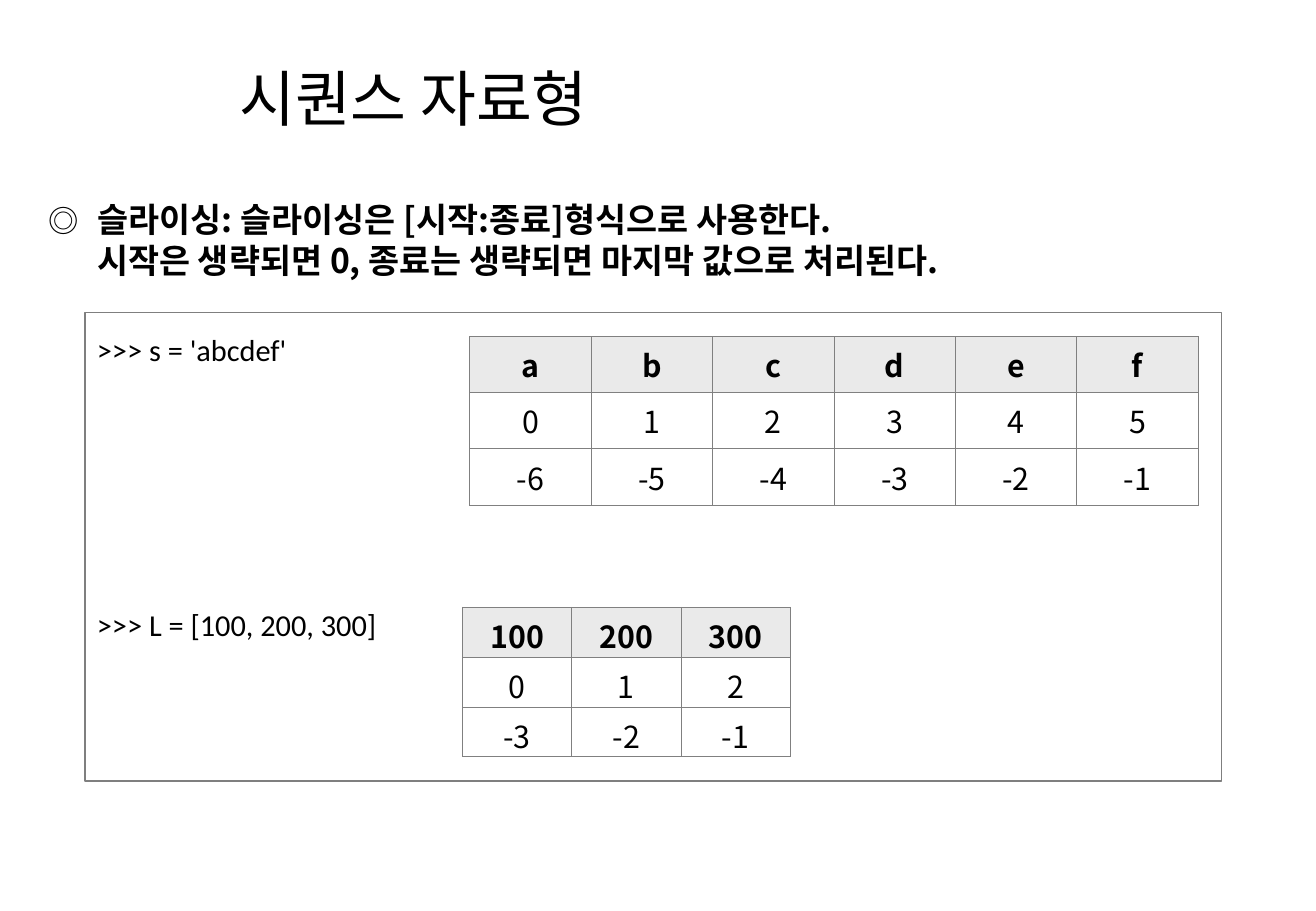
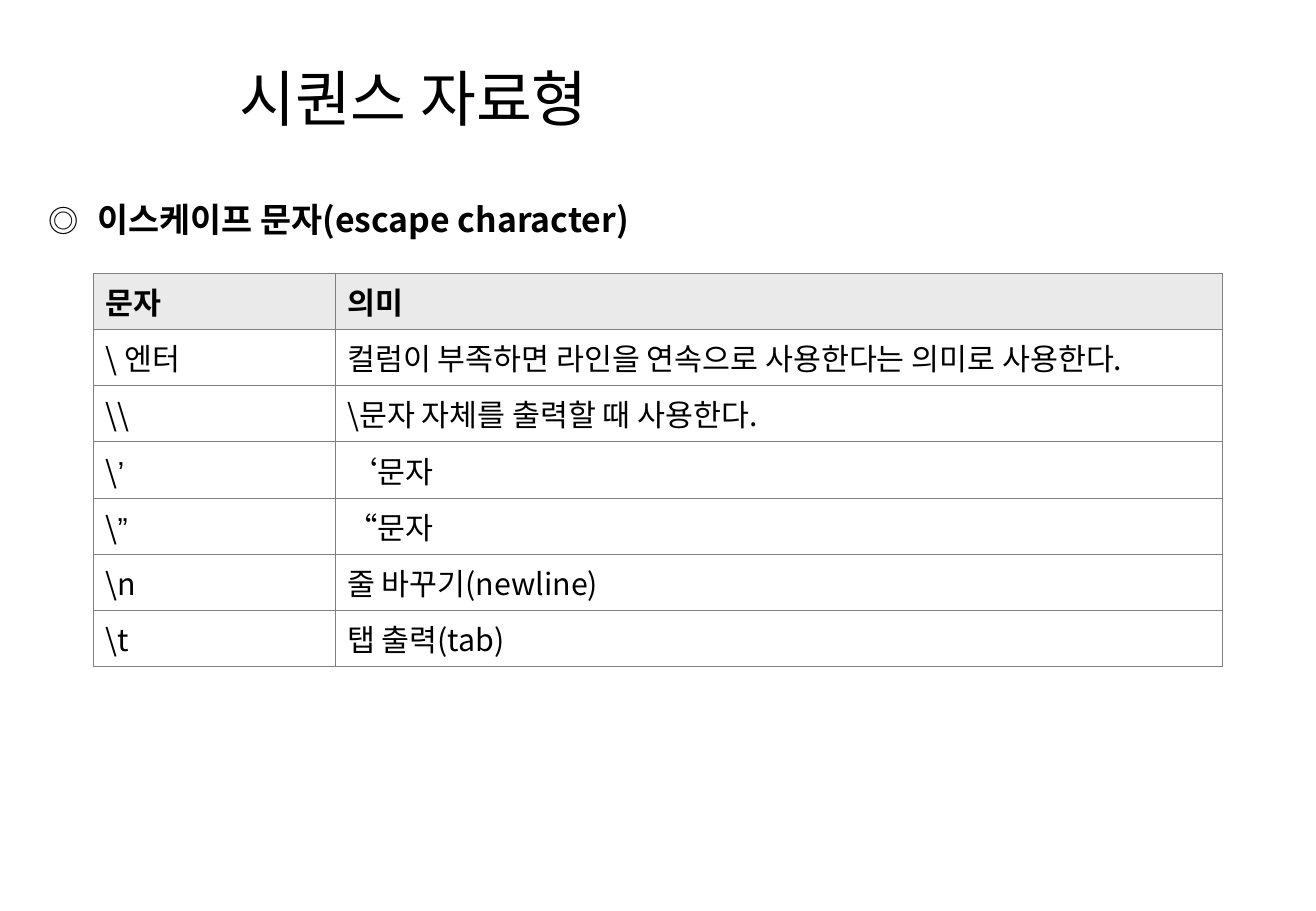
from itertools import groupby

from lxml import etree
from pptx import Presentation
from pptx.dml.color import RGBColor
from pptx.enum import shapes, text
from pptx.oxml.ns import qn
from pptx.util import Inches, Pt

COLORS = {"text": "000000", "header": "EAEAEA", "border": "808080", "frame": "7F7F7F"}
FONT = "Noto Sans CJK KR"
CODE_FONT = "Calibri"
QUOTE_FONT = "Arial"
QUOTES = "‘’“”"
TITLE = "시퀀스 자료형"


def set_font(paragraph, size, bold=False, name=FONT):
    """Format a whole paragraph, for Latin and East Asian text alike."""
    font = paragraph.font
    font.size = Pt(size)
    font.bold = bold
    font.name = name
    font.color.rgb = RGBColor.from_string(COLORS["text"])
    properties = paragraph._p.pPr.find(qn("a:defRPr"))
    etree.SubElement(properties, qn("a:ea"), typeface=FONT)


def add_grid(slide, left, top, widths, row_height, rows, alignment, bottom_margin=0.05):
    """Add a thin-ruled table with a shaded bold header row."""
    table = slide.shapes.add_table(
        len(rows), len(widths), Inches(left), Inches(top),
        Inches(sum(widths)), Inches(row_height * len(rows))).table
    table.first_row = table.horz_banding = False
    for column, width in zip(table.columns, widths):
        column.width = Inches(width)
    for row_index, values in enumerate(rows):
        table.rows[row_index].height = Inches(row_height)
        for column_index, value in enumerate(values):
            cell = table.cell(row_index, column_index)
            cell.margin_bottom = Inches(bottom_margin)
            cell_properties = cell._tc.get_or_add_tcPr()
            for side in ("lnL", "lnR", "lnT", "lnB"):
                border = etree.SubElement(cell_properties, qn(f"a:{side}"), w=str(Pt(0.45)))
                fill = etree.SubElement(border, qn("a:solidFill"))
                etree.SubElement(fill, qn("a:srgbClr"), val=COLORS["border"])
            if row_index == 0:
                cell.fill.solid()
                cell.fill.fore_color.rgb = RGBColor.from_string(COLORS["header"])
            else:
                cell.fill.background()
            paragraph = cell.text_frame.paragraphs[0]
            paragraph.alignment = alignment
            set_font(paragraph, 18, bold=row_index == 0)
            for is_quote, letters in groupby(value, lambda letter: letter in QUOTES):
                run = paragraph.add_run()
                run.text = "".join(letters)
                if is_quote:
                    run.font.name = QUOTE_FONT


presentation = Presentation()
presentation.slide_width = Inches(10.84)
presentation.slide_height = Inches(7.5)
layout = presentation.slide_layouts[1]

# Shared title and heading line
headings = [
    ("슬라이싱: 슬라이싱은 [시작:종료]형식으로 사용한다.\v"
     "시작은 생략되면 0, 종료는 생략되면 마지막 값으로 처리된다.", 0.9),
    ("이스케이프 문자(escape character)", 0.51),
]
slides = []
for heading, height in headings:
    slide = presentation.slides.add_slide(layout)
    slides.append(slide)
    title, body = slide.placeholders
    title.left, title.top, title.width, title.height = map(Inches, (1.87, 0.49, 7.95, 0.72))
    body.left, body.top, body.width, body.height = map(Inches, (0.3, 1.59, 10.24, height))

    title.text_frame.text = TITLE
    title.text_frame.auto_size = text.MSO_AUTO_SIZE.NONE
    title.text_frame.vertical_anchor = text.MSO_ANCHOR.MIDDLE
    paragraph = title.text_frame.paragraphs[0]
    paragraph.alignment = text.PP_ALIGN.LEFT
    paragraph.line_spacing = 0.85
    set_font(paragraph, 36)

    body.text_frame.text = heading
    body.text_frame.auto_size = text.MSO_AUTO_SIZE.NONE
    paragraph = body.text_frame.paragraphs[0]
    paragraph.space_before = Pt(0)
    paragraph.line_spacing = 1.0
    properties = paragraph._p.get_or_add_pPr()
    properties.set("marL", str(Inches(0.4)))
    properties.set("indent", str(-Inches(0.4)))
    bullet_color = etree.SubElement(properties, qn("a:buClr"))
    etree.SubElement(bullet_color, qn("a:srgbClr"), val=COLORS["text"])
    etree.SubElement(properties, qn("a:buSzPct"), val="90000")
    etree.SubElement(properties, qn("a:buFont"), typeface=FONT)
    etree.SubElement(properties, qn("a:buChar"), char="◎")
    set_font(paragraph, 20, bold=True)

slicing, escapes = slides

# Slicing: code lines with index tables
add_grid(slicing, 3.87, 2.77, [1.0] * 6, 0.46,
         ["abcdef", "012345", [str(index) for index in range(-6, 0)]],
         text.PP_ALIGN.CENTER)

code = slicing.shapes.add_textbox(Inches(0.7), Inches(2.62), Inches(3.1), Inches(2.73))
code.text_frame.word_wrap = True
code.text_frame.text = ">>> s = 'abcdef'\n>>> L = [100, 200, 300]"
for paragraph, space_before in zip(code.text_frame.paragraphs, (0, 137)):
    paragraph.line_spacing = 1.2
    paragraph.space_before = Pt(space_before)
    set_font(paragraph, 18, name=CODE_FONT)

add_grid(slicing, 3.81, 5.0, [0.9] * 3, 0.41,
         [["100", "200", "300"], "012", ["-3", "-2", "-1"]],
         text.PP_ALIGN.CENTER, bottom_margin=0)

frame = slicing.shapes.add_shape(
    shapes.MSO_SHAPE.RECTANGLE, Inches(0.7), Inches(2.57), Inches(9.36), Inches(3.86))
frame.shadow.inherit = False
frame.fill.background()
frame.line.color.rgb = RGBColor.from_string(COLORS["frame"])
frame.line.width = Pt(0.75)

# Escape characters
add_grid(escapes, 0.77, 2.25, [1.99, 7.31], 0.46, [
    ("문자", "의미"),
    ("\\ 엔터", "컬럼이 부족하면 라인을 연속으로 사용한다는 의미로 사용한다."),
    ("\\\\", "\\문자 자체를 출력할 때 사용한다."),
    ("\\’", "‘문자"),
    ("\\”", "“문자"),
    ("\\n", "줄 바꾸기(newline)"),
    ("\\t", "탭 출력(tab)"),
], text.PP_ALIGN.LEFT)

presentation.save("out.pptx")
